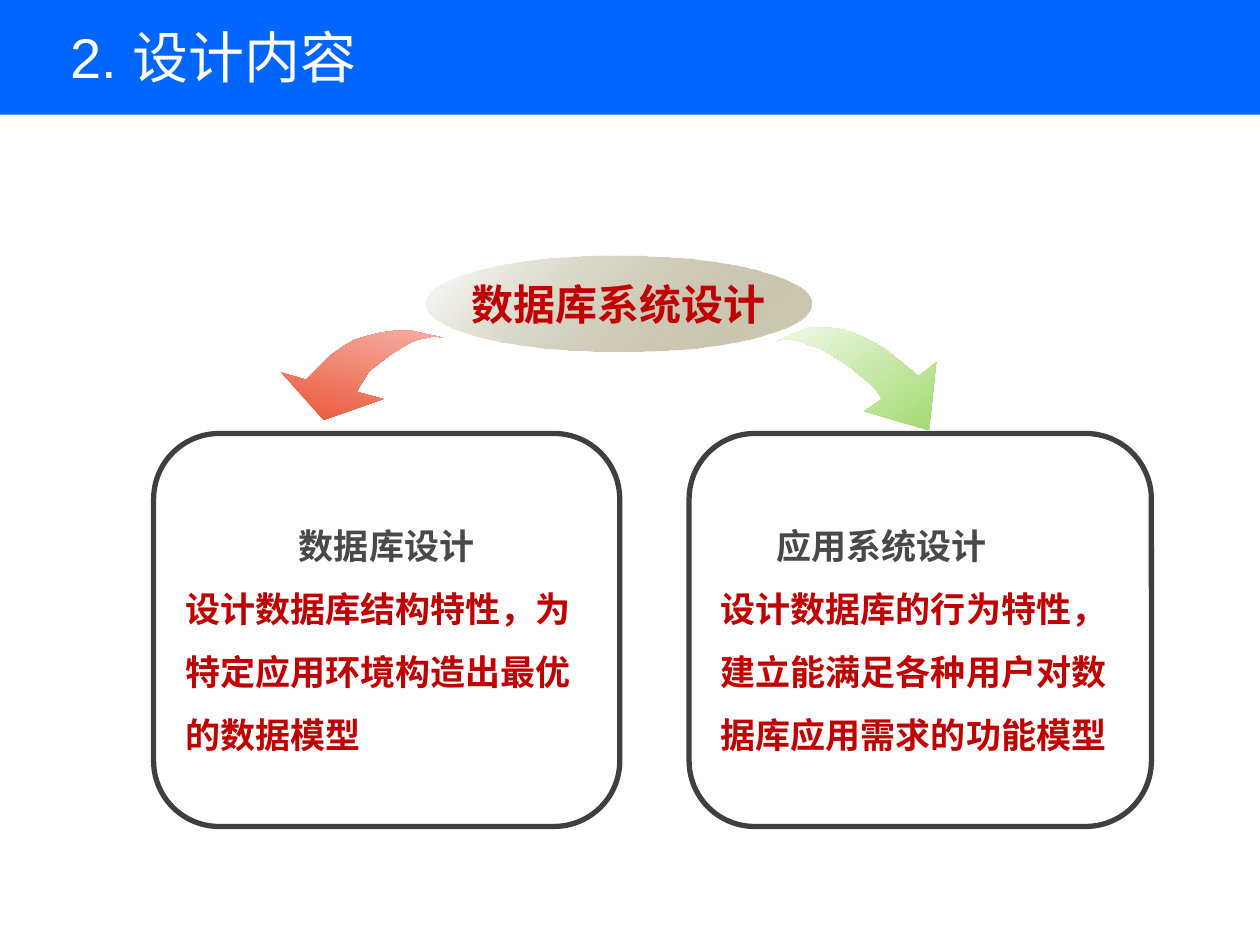
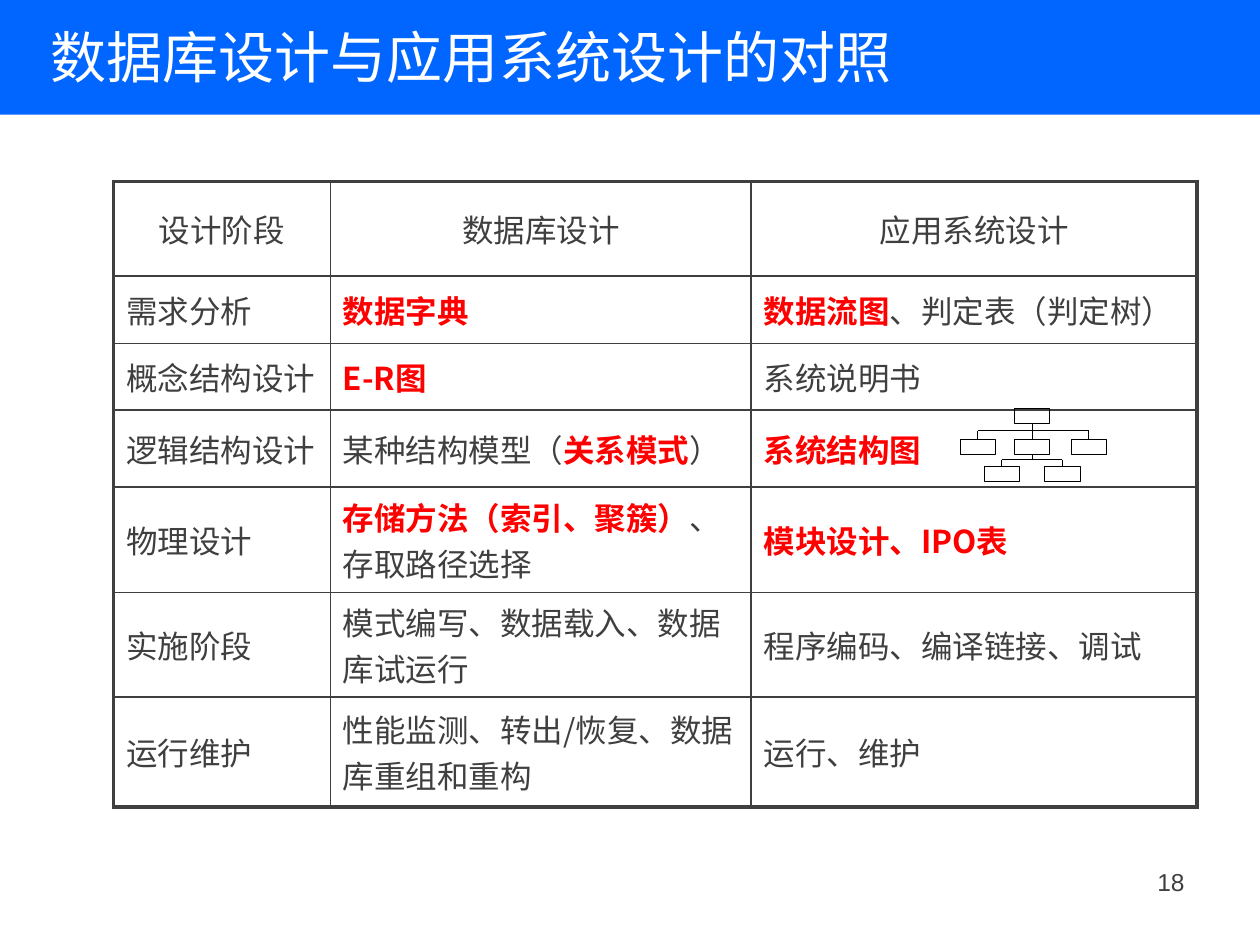
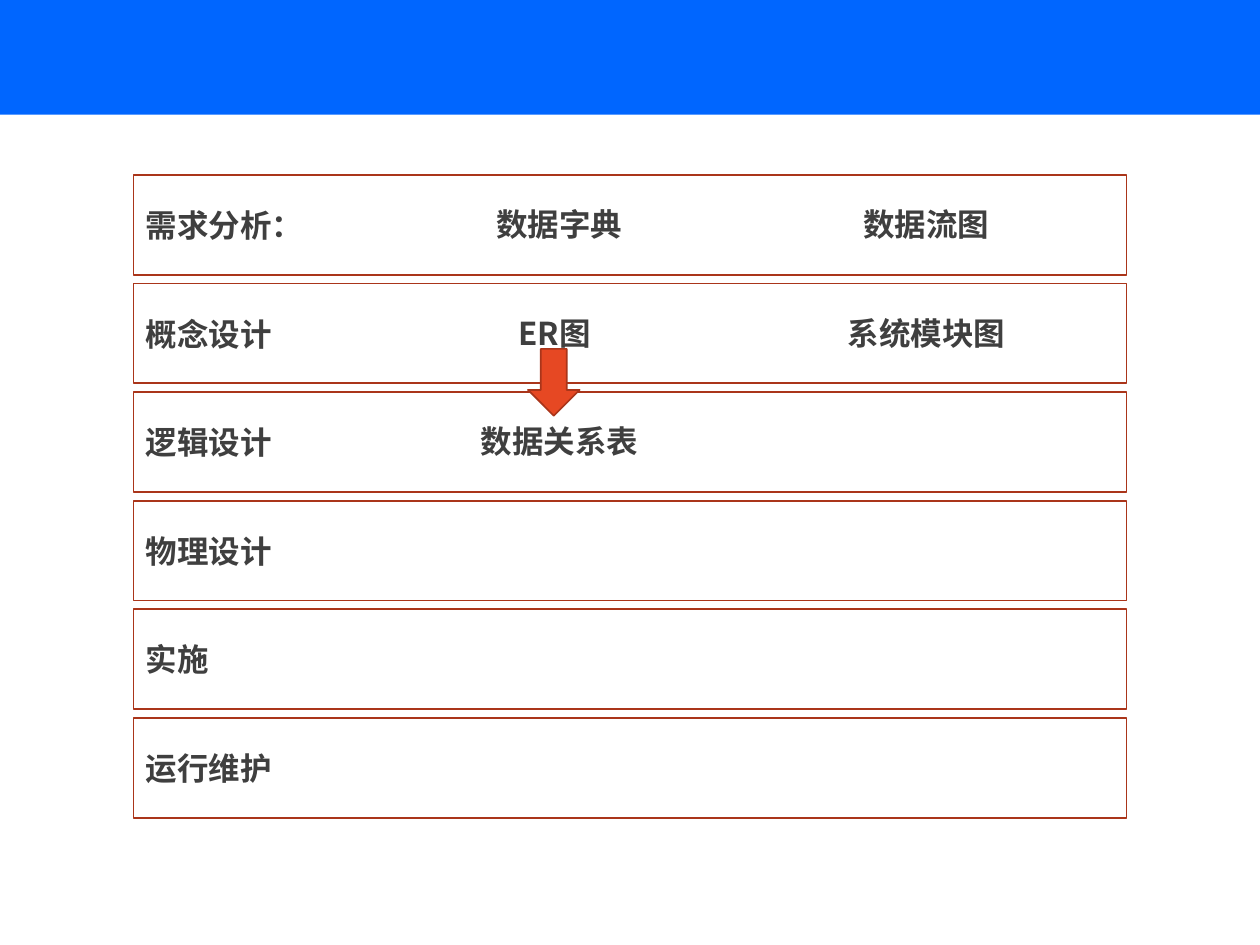
from lxml import etree
from pptx import Presentation
from pptx.dml.color import RGBColor
from pptx.enum import shapes, text
from pptx.oxml import ns
from pptx.util import Pt

# Shared look
HUES = {"band": "0066FF", "white": "FFFFFF", "ink": "3F3F3F", "head": "494949",
        "deep": "C00000", "red": "FF0000", "rust": "AA351A", "flame": "E64823",
        "black": "000000"}
SANS, LATIN = "Noto Sans CJK SC", "Arial"
KIND, ALIGN, ANCHOR = shapes.MSO_SHAPE, text.PP_ALIGN, text.MSO_ANCHOR

# Slide 1: two sides of the design
TOPIC = "数据库系统设计"
SIDES = [
    (87.8, 266.4, "数据库设计", ALIGN.CENTER, 0,
     "设计数据库结构特性，为特定应用环境构造出最优的数据模型"),
    (393.8, 264.2, "应用系统设计", ALIGN.LEFT, 32,
     "设计数据库的行为特性，建立能满足各种用户对数据库应用需求的功能模型"),
]
# Each curved arrow: start hue, end hue, gradient angle, outline
CURVES = [
    ("E9583A", "F5AFA2", 284, [
        (253.4, 193), (244.1, 190.8), (234.7, 189.4), (226.1, 189.4), (218.2, 190.1),
        (210.2, 191.5), (203, 194.4), (195.8, 198), (189.4, 203), (182.2, 209.5),
        (175, 216.7), (160.6, 213.1), (185, 239.8), (218.9, 227.5), (204.5, 223.9),
        (205.9, 220.3), (208.1, 216.7), (211, 212.4), (215.3, 208.8), (219.6, 205.2),
        (223.9, 201.6), (229, 198.7), (234, 195.8), (239, 194.4), (244.1, 193),
        (249.1, 192.2)]),
    ("A3D970", "F0F9E8", 236, [
        (444.2, 195.1), (450.7, 191.5), (457.9, 188.6), (464.4, 187.2), (472.3, 187.2),
        (479.5, 187.9), (487.4, 190.1), (496.1, 194.4), (504.7, 199.4), (514.1, 205.9),
        (524.9, 214.6), (535, 207.4), (530.6, 245.5), (493.9, 234.7), (504, 228.2),
        (501.1, 223.2), (496.8, 218.9), (491.8, 214.6), (486, 210.2), (480.2, 205.9),
        (474.5, 202.3), (468.7, 199.4), (462.2, 197.3), (457.2, 195.1), (452.2, 194.4),
        (447.8, 194.4)]),
]

# Slide 2: comparison; words between asterisks are bold red
STAGES = [
    ("设计阶段", "数据库设计", "应用系统设计"),
    ("需求分析", "*数据字典*", "*数据流图*、判定表（判定树）"),
    ("概念结构设计", "*E-R图*", "系统说明书"),
    ("逻辑结构设计", "某种结构模型（*关系模式*）", "*系统结构图*"),
    ("物理设计", "*存储方法（索引、聚簇）*、存取路径选择", "*模块设计、IPO表*"),
    ("实施阶段", "模式编写、数据载入、数据库试运行", "程序编码、编译链接、调试"),
    ("运行维护", "性能监测、转出/恢复、数据库重组和重构", "运行、维护"),
]
WIDTHS = [124, 240.5, 254.7]
HEIGHTS = [54, 38.5, 38, 44, 60.5, 59.5, 63]
# Small tree: top and left edges of each level, then the bus heights
LEVELS = [(233.3, [579.6]), (251.3, [548.6, 579.6, 612]), (266.4, [562.3, 596.9])]
BUSES = [246.2, 262.8]

# Slide 3: steps and their results as (step, left, words)
STEPS = ["需求分析：", "概念设计", "逻辑设计", "物理设计", "实施", "运行维护"]
RESULTS = [(0, 264.2, "数据字典"), (0, 473.8, "数据流图"), (1, 261.4, "ER图"),
           (1, 473.8, "系统模块图"), (2, 264.2, "数据关系表")]


def rgb(name):
    return RGBColor.from_string(HUES[name])


def style(para, size, hue, bold=False, face=SANS):
    for run in para.runs:
        font = run.font
        font.size, font.bold, font.name = Pt(size), bold, face
        font.color.rgb = rgb(hue)
        etree.SubElement(run._r.get_or_add_rPr(), ns.qn("a:ea"), typeface=SANS)


def shape(slide, kind, box, fill=None, line=None, width=1):
    item = slide.shapes.add_shape(kind, *map(Pt, box))
    item.shadow.inherit = False
    if fill:
        item.fill.solid()
        item.fill.fore_color.rgb = rgb(fill)
    else:
        item.fill.background()
    if line:
        item.line.color.rgb = rgb(line)
        item.line.width = Pt(width)
    else:
        item.line.fill.background()
    return item


def write(item, words, size, hue, bold=False, align=ALIGN.LEFT,
          anchor=ANCHOR.MIDDLE, face=SANS, wrap=True):
    frame = item.text_frame
    frame.text = words
    frame.word_wrap, frame.vertical_anchor = wrap, anchor
    for para in frame.paragraphs:
        para.alignment = align
        style(para, size, hue, bold, face)
    return frame


def label(slide, box, *args, **kwargs):
    return write(slide.shapes.add_textbox(*map(Pt, box)), *args, **kwargs)


def blend(item, stops, angle):
    """Gradient fill from (position, hex, alpha) stops."""
    item.fill.gradient()
    grad = item.fill._xPr.find(ns.qn("a:gradFill"))
    for kid in list(grad):
        grad.remove(kid)
    stop_list = etree.SubElement(grad, ns.qn("a:gsLst"))
    for place, code, alpha in stops:
        stop = etree.SubElement(stop_list, ns.qn("a:gs"), pos=str(place * 1000))
        tint = etree.SubElement(stop, ns.qn("a:srgbClr"), val=code)
        if alpha < 100:
            etree.SubElement(tint, ns.qn("a:alpha"), val=str(alpha * 1000))
    etree.SubElement(grad, ns.qn("a:lin"), ang=str(angle * 60000), scaled="0")


def wire(slide, x1, y1, x2, y2):
    line = slide.shapes.add_connector(shapes.MSO_CONNECTOR.STRAIGHT,
                                      *map(Pt, (x1, y1, x2, y2)))
    line.line.color.rgb = rgb("black")
    line.line.width = Pt(0.5)
    etree.SubElement(line._element.spPr, ns.qn("a:effectLst"))
    return line


def edge(cell, sides):
    """Cell borders, widths in the order left, right, top, bottom."""
    props = cell._tc.get_or_add_tcPr()
    for spot, (side, width) in enumerate(zip("LRTB", sides)):
        line = etree.Element(ns.qn("a:ln" + side), w=str(Pt(width)))
        fill = etree.SubElement(line, ns.qn("a:solidFill"))
        etree.SubElement(fill, ns.qn("a:srgbClr"), val=HUES["ink"])
        props.insert(spot, line)


def page(deck, title=None, left=0):
    slide = deck.slides.add_slide(deck.slide_layouts[6])
    shape(slide, KIND.RECTANGLE, (0, 0, 720, 65.5), "band")
    if title:
        label(slide, (left, 0, 648, 64), title, 32, "white", face=LATIN)
    return slide


def sides_page(deck):
    slide = page(deck, "2. 设计内容", 33)
    for left, width, head, align, indent, body in SIDES:
        card = shape(slide, KIND.ROUNDED_RECTANGLE, (left, 247.7, width, 224.6),
                     line="ink", width=3)
        card.adjustments[0] = 0.167
        top, rest = write(card, head + "\n" + body, 20, "deep", True).paragraphs
        top.alignment = align
        top.runs[0].font.color.rgb = rgb("head")
        top._p.get_or_add_pPr().set("marL", str(Pt(indent)))
        top.line_spacing = rest.line_spacing = 1.5
    oval = shape(slide, KIND.OVAL, (243.4, 146, 220, 55))
    blend(oval, [(0, HUES["white"], 100), (100, "7F723D", 38)], 45)
    write(oval, TOPIC, 24, "deep", True, ALIGN.CENTER, wrap=False)
    for start, end, angle, dots in CURVES:
        pen = slide.shapes.build_freeform(*dots[0], scale=Pt(1))
        pen.add_line_segments(dots[1:], close=True)
        curve = pen.convert_to_shape()
        curve.shadow.inherit = False
        curve.line.fill.background()
        blend(curve, [(0, start, 100), (100, end, 100)], angle)


def tree(slide):
    wide, high = 20.4, 8.5
    rows = [[shape(slide, KIND.RECTANGLE, (x, y, wide, high), line="black", width=0.5)
             for x in xs] for y, xs in LEVELS]
    for depth, bus in enumerate(BUSES):
        # The middle box of a level carries the next one
        top, xs = LEVELS[depth]
        spot = len(xs) // 2
        mid = xs[spot] + wide / 2
        trunk = wire(slide, mid, top + high, mid, bus)
        trunk.begin_connect(rows[depth][spot], 2)
        low, kids = LEVELS[depth + 1]
        wire(slide, kids[0] + wide / 2, bus, kids[-1] + wide / 2, bus)
        for x, kid in zip(kids, rows[depth + 1]):
            wire(slide, x + wide / 2, bus, x + wide / 2, low).end_connect(kid, 0)


def table_page(deck):
    slide = page(deck, "数据库设计与应用系统设计的对照", 22)
    label(slide, (516.2, 491.8, 167.8, 37.4), "18", 14, "ink",
          align=ALIGN.RIGHT, anchor=ANCHOR.TOP, face=LATIN)
    rows, cols = len(STAGES), len(WIDTHS)
    grid = slide.shapes.add_table(rows, cols, Pt(64.8), Pt(103.7),
                                  Pt(sum(WIDTHS)), Pt(sum(HEIGHTS))).table
    grid.first_row = grid.horz_banding = False
    for col, width in zip(grid.columns, WIDTHS):
        col.width = Pt(width)
    for r, stage in enumerate(STAGES):
        grid.rows[r].height = Pt(HEIGHTS[r])
        for c, words in enumerate(stage):
            cell = grid.cell(r, c)
            cell.fill.background()
            cell.vertical_anchor = ANCHOR.MIDDLE
            para = cell.text_frame.paragraphs[0]
            para.alignment = ALIGN.LEFT if r else ALIGN.CENTER
            parts = [(n % 2, part) for n, part in enumerate(words.split("*")) if part]
            for _, part in parts:
                para.add_run().text = part
            style(para, 18, "ink")
            for run, (key, _) in zip(para.runs, parts):
                if key:
                    run.font.bold = True
                    run.font.color.rgb = rgb("red")
            outer = (c == 0, c == cols - 1, r == 0, r == rows - 1)
            edge(cell, [2.25 if rim else 1 for rim in outer])
    tree(slide)


def steps_page(deck):
    slide = page(deck)
    top, step = 100, 62.05
    for n, words in enumerate(STEPS):
        bar = shape(slide, KIND.RECTANGLE, (76.3, top + n * step, 567.4, 57), line="rust")
        write(bar, words, 18, "ink", True)
    for n, left, words in RESULTS:
        label(slide, (left, top + n * step + 13.7, 111, 29), words, 18, "ink", True,
              ALIGN.CENTER, ANCHOR.TOP)
    shape(slide, KIND.DOWN_ARROW, (301.7, 199.4, 29.5, 38.2), "flame", "rust")


def main():
    deck = Presentation()
    deck.slide_width, deck.slide_height = Pt(720), Pt(540)
    sides_page(deck)
    table_page(deck)
    steps_page(deck)
    deck.save("out.pptx")


if __name__ == "__main__":
    main()
